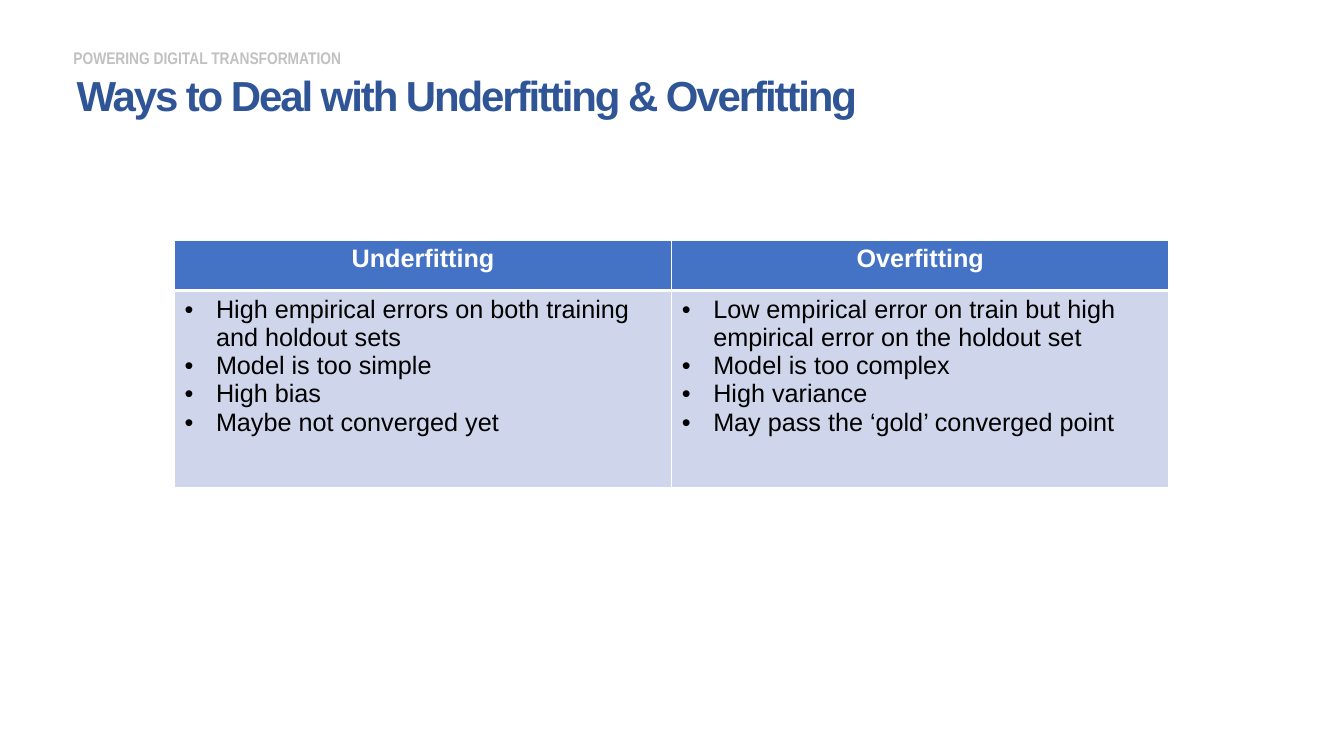
"""Build a slide comparing underfitting and overfitting in a two-column table."""
from lxml import etree
from pptx import Presentation
from pptx.dml.color import RGBColor
from pptx.enum.text import MSO_ANCHOR, PP_ALIGN
from pptx.oxml.ns import qn
from pptx.util import Pt

LEFT, CENTER, MIDDLE = PP_ALIGN.LEFT, PP_ALIGN.CENTER, MSO_ANCHOR.MIDDLE

TAGLINE = "POWERING DIGITAL TRANSFORMATION"
TITLE = "Ways to Deal with Underfitting & Overfitting"
COLUMNS = {
    "Underfitting": [
        "High empirical errors on both training and holdout sets",
        "Model is too simple",
        "High bias",
        "Maybe not converged yet",
    ],
    "Overfitting": [
        "Low empirical error on train but high empirical error on the holdout set",
        "Model is too complex",
        "High variance",
        "May pass the ‘gold’ converged point",
    ],
}
TABLE_LEFT, TABLE_TOP, COLUMN_WIDTH = 124.6, 171.4, 355.2
ROW_HEIGHTS = [36, 141]
BULLET_INDENT = 22.5


def color(value):
    return RGBColor.from_string(value)


def style(paragraph, size, value, bold, name="Arial"):
    font = paragraph.font
    for target in [font] + [span.font for span in paragraph.runs]:
        target.name, target.size, target.bold = name, Pt(size), bold
        target.color.rgb = color(value)


def add_bullet(paragraph):
    properties = paragraph._p.get_or_add_pPr()
    properties.set("marL", str(Pt(BULLET_INDENT)))
    properties.set("indent", str(-Pt(BULLET_INDENT)))
    etree.SubElement(properties, qn("a:buFont"), typeface="Arial")
    etree.SubElement(properties, qn("a:buChar"), char="•")


def set_borders(cell, widths):
    properties = cell._tc.get_or_add_tcPr()
    for side, width in zip("LRTB", widths):
        line = etree.SubElement(properties, qn(f"a:ln{side}"), w=str(Pt(width)))
        fill = etree.SubElement(line, qn("a:solidFill"))
        etree.SubElement(fill, qn("a:srgbClr"), val="FFFFFF")


def fill_cell(cell, lines, fill, borders):
    cell.text_frame.text = "\n".join(lines)
    set_borders(cell, borders)
    cell.fill.solid()
    cell.fill.fore_color.rgb = color(fill)


def add_heading(page):
    box = page.shapes.add_textbox(Pt(45.4), Pt(26.6), Pt(324), Pt(28.8))
    frame = box.text_frame
    frame.word_wrap = True
    frame.vertical_anchor = MIDDLE
    frame.text = TAGLINE
    style(frame.paragraphs[0], 12, "C1C1C1", True, "Arial Narrow")

    title = page.shapes.title
    title.left, title.top, title.width, title.height = Pt(47.5), Pt(51.1), Pt(864.7), Pt(37.4)
    frame = title.text_frame
    frame.text = TITLE
    frame.vertical_anchor = MIDDLE
    para = frame.paragraphs[0]
    para.alignment = LEFT
    para.line_spacing = 0.9
    style(para, 30, "2F5597", True)
    para.runs[0]._r.get_or_add_rPr().set("spc", "-150")


def add_comparison(page):
    table = page.shapes.add_table(
        len(ROW_HEIGHTS), len(COLUMNS), Pt(TABLE_LEFT), Pt(TABLE_TOP),
        Pt(COLUMN_WIDTH * len(COLUMNS)), Pt(sum(ROW_HEIGHTS))).table
    for row, height in zip(table.rows, ROW_HEIGHTS):
        row.height = Pt(height)
    for index, (heading, points) in enumerate(COLUMNS.items()):
        table.columns[index].width = Pt(COLUMN_WIDTH)
        header, body = table.cell(0, index), table.cell(1, index)
        fill_cell(header, [heading], "4472C4", (1, 1, 1, 3))
        para = header.text_frame.paragraphs[0]
        para.alignment = CENTER
        style(para, 18, "FFFFFF", True)
        fill_cell(body, points, "CFD5EA", (1, 1, 3, 1))
        for para in body.text_frame.paragraphs:
            add_bullet(para)
            style(para, 18, "000000", False)


def main():
    deck = Presentation()
    deck.slide_width, deck.slide_height = Pt(960), Pt(540)
    page = deck.slides.add_slide(deck.slide_layouts[5])
    add_heading(page)
    add_comparison(page)
    deck.save("out.pptx")


if __name__ == "__main__":
    main()
